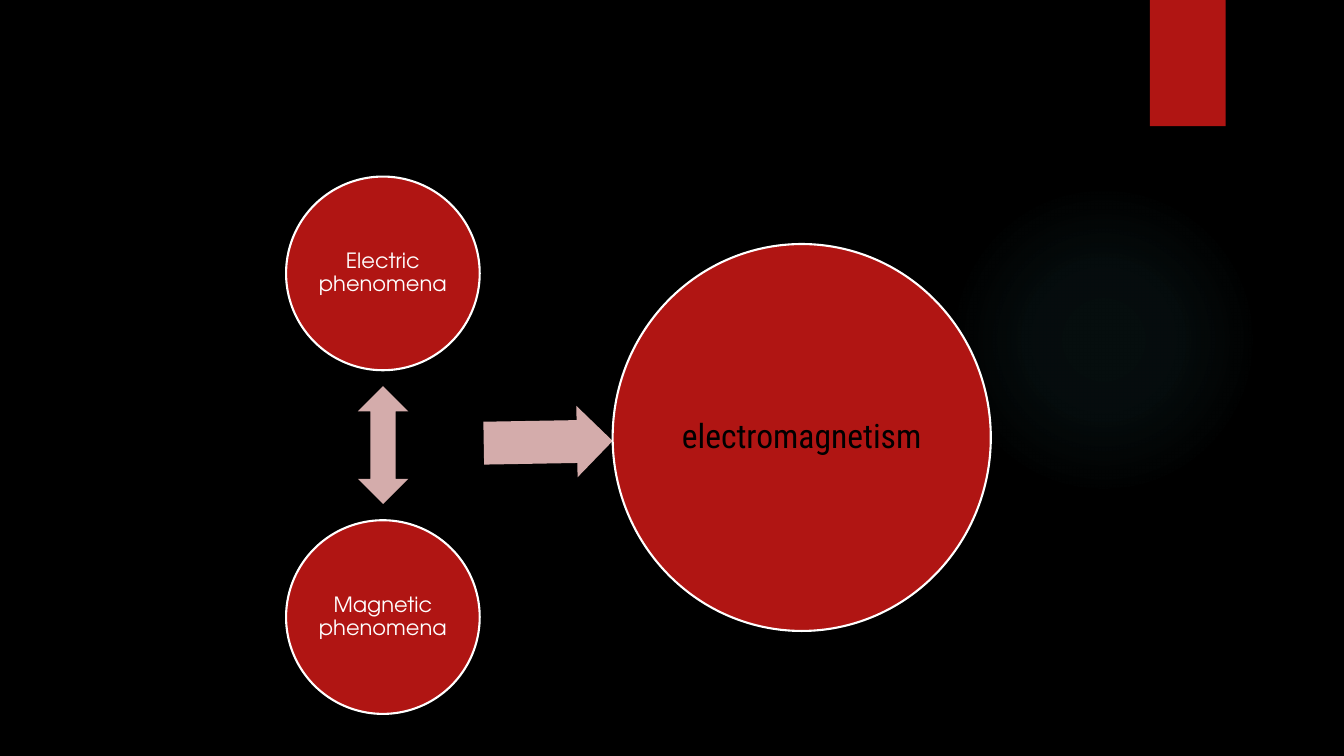
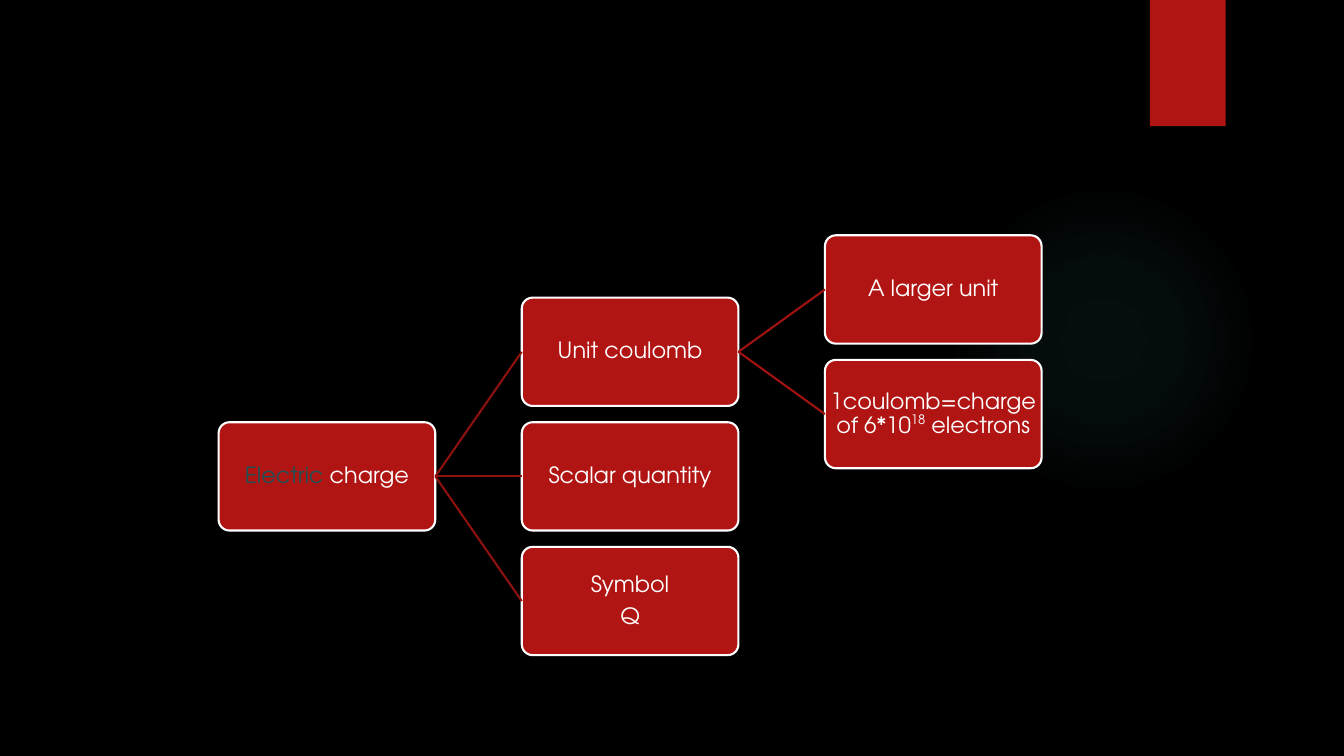
"""Build two slides on electromagnetism and electric charge."""
from pptx import Presentation
from pptx import oxml
from pptx.dml.color import RGBColor
from pptx.enum import shapes, text
from pptx.oxml import ns
from pptx.util import Cm, Pt

BLACK, WHITE, RED, PINK, TEAL = "000000", "FFFFFF", "B01513", "D4ACAB", "1E5155"
GLOW = "50B9C1"
GLOW_STOPS = [(0, 7), (36, 6), (69, 0)]
BRANCH_COLOURS = ["8D110F", "A01311"]
BODY_FONT, RESULT_FONT = "TeX Gyre Adventor", "Roboto Condensed"
KIND = shapes.MSO_SHAPE

NODE_WIDTH, NODE_HEIGHT = 5.46, 2.73
COLUMN_STEP, ROW_STEP = 7.64, 3.14
ROOT_LEFT, ROOT_TOP = 5.51, 10.64

CHARGE_TREE = ([[("Electric", {"colour": TEAL}), (" charge", {})]], [
    ([[("Unit coulomb", {})]], [
        ([[("A larger unit", {})]], []),
        ([[("1coulomb=charge of 6*10", {}), ("18", {"baseline": 40}),
           (" electrons", {})]], []),
    ]),
    ([[("Scalar quantity", {})]], []),
    ([[("Symbol", {})], [("Q", {})]], []),
])


def paint(colour_format, colour):
    """Set a colour format from a hex string."""
    colour_format.rgb = RGBColor.from_string(colour)


def add_shape(page, kind, left, top, width, height, fill, outline=None):
    """Add a flat preset shape, measured in centimetres."""
    shape = page.shapes.add_shape(kind, Cm(left), Cm(top), Cm(width), Cm(height))
    shape.shadow.inherit = False
    shape.fill.solid()
    paint(shape.fill.fore_color, fill)
    if outline:
        paint(shape.line.color, outline)
        shape.line.width = Pt(1.5)
    else:
        shape.line.fill.background()
    return shape


def add_label(shape, paragraphs, size, font=BODY_FONT, colour=WHITE):
    """Write centred paragraphs of (words, style) spans into a shape."""
    frame = shape.text_frame
    frame.word_wrap = True
    frame.vertical_anchor = text.MSO_ANCHOR.MIDDLE
    frame.margin_left = frame.margin_right = Cm(0.03)
    frame.margin_top = frame.margin_bottom = Cm(0.03)
    for index, spans in enumerate(paragraphs):
        para = frame.add_paragraph() if index else frame.paragraphs[0]
        para.alignment = text.PP_ALIGN.CENTER
        para.line_spacing = 0.9
        para.space_after = Pt(size * 0.35)
        para.font.size = Pt(size)
        para.font.name = font
        paint(para.font.color, colour)
        for words, style in spans:
            span = para.add_run()
            span.text = words
            if "colour" in style:
                paint(span.font.color, style["colour"])
            if "baseline" in style:
                span._r.get_or_add_rPr().set("baseline", str(style["baseline"] * 1000))


def add_glow(page):
    """Add the faint round light at the right."""
    glow = add_shape(page, KIND.OVAL, 23.9, 4.65, 7.82, 7.82, GLOW)
    stops = "".join(
        f'<a:gs pos="{position * 1000}"><a:srgbClr val="{GLOW}">'
        f'<a:alpha val="{opacity * 1000}"/></a:srgbClr></a:gs>'
        for position, opacity in GLOW_STOPS)
    gradient = oxml.parse_xml(
        f'<a:gradFill {ns.nsdecls("a")}><a:gsLst>{stops}</a:gsLst><a:path path="circle">'
        '<a:fillToRect l="50000" t="50000" r="50000" b="50000"/></a:path></a:gradFill>')
    properties = glow._element.spPr
    properties.replace(properties.find(ns.qn("a:solidFill")), gradient)


def add_page(deck):
    """Add a blank page with the shared glow and ribbon."""
    page = deck.slides.add_slide(deck.slide_layouts[6])
    add_glow(page)
    add_shape(page, KIND.RECTANGLE, 28.98, 0, 1.91, 3.18, RED)
    return page


def add_circle(page, left, top, width, height, words, size, **style):
    """Add an outlined red circle with a label."""
    circle = add_shape(page, KIND.OVAL, left, top, width, height, RED, WHITE)
    add_label(circle, [[(words, {})]], size, **style)


def add_branch(page, parent, child, colour):
    """Join the right side of a parent to the left side of a child."""
    branch = page.shapes.add_connector(shapes.MSO_CONNECTOR.STRAIGHT, 0, 0, 0, 0)
    branch.begin_connect(parent, 3)
    branch.end_connect(child, 1)
    paint(branch.line.color, colour)
    branch.line.width = Pt(1.5)
    branch._element.spPr.append(oxml.parse_xml(f'<a:effectLst {ns.nsdecls("a")}/>'))


def add_tree(page, node, level=0, row=0):
    """Draw a node, then its children centred on its row one column on."""
    paragraphs, children = node
    box = add_shape(page, KIND.ROUNDED_RECTANGLE, ROOT_LEFT + level * COLUMN_STEP,
                    ROOT_TOP + row * ROW_STEP, NODE_WIDTH, NODE_HEIGHT, RED, WHITE)
    box.adjustments[0] = 0.1
    add_label(box, paragraphs, 16)
    for index, child in enumerate(children):
        child_row = row + index - (len(children) - 1) / 2
        child_box = add_tree(page, child, level + 1, child_row)
        add_branch(page, box, child_box, BRANCH_COLOURS[level])
    return box


def add_electromagnetism_page(deck):
    """Show two phenomena merging into electromagnetism."""
    page = add_page(deck)
    for top, words in [(4.45, "Electric phenomena"), (13.11, "Magnetic phenomena")]:
        add_circle(page, 7.21, top, 4.88, 4.88, words, 15)
    add_shape(page, KIND.UP_DOWN_ARROW, 9.02, 9.73, 1.27, 2.97, PINK)
    arrow = add_shape(page, KIND.RIGHT_ARROW, 12.19, 10.24, 3.25, 1.8, PINK)
    arrow.adjustments[0] = 0.6
    arrow.rotation = 359
    add_circle(page, 15.44, 6.15, 9.53, 9.75, "electromagnetism", 24,
               font=RESULT_FONT, colour=BLACK)


def main():
    """Build and save the deck."""
    deck = Presentation()
    deck.slide_width, deck.slide_height = Cm(33.87), Cm(19.05)
    backdrop = deck.slide_master.background.fill
    backdrop.solid()
    paint(backdrop.fore_color, BLACK)
    add_electromagnetism_page(deck)
    add_tree(add_page(deck), CHARGE_TREE)
    deck.save("out.pptx")


if __name__ == "__main__":
    main()
